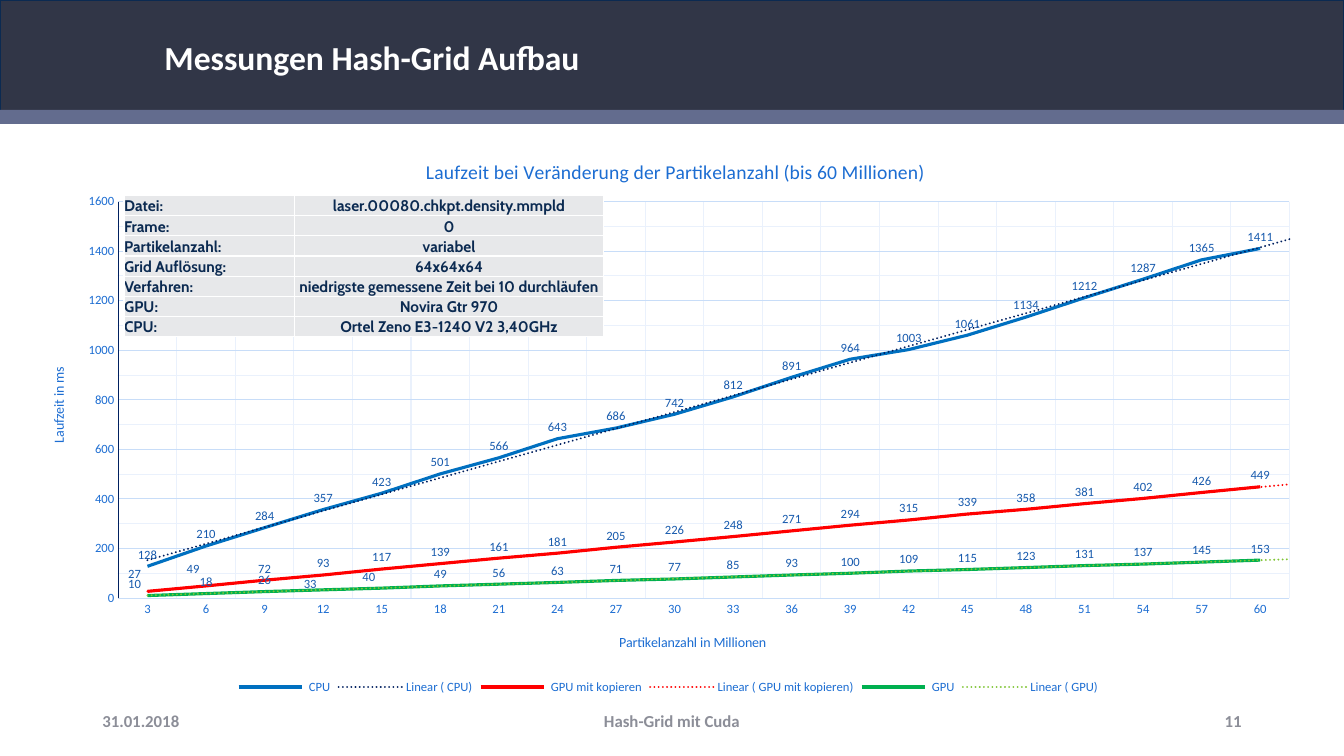
from lxml import etree
from pptx import Presentation
from pptx.chart.data import CategoryChartData
from pptx.dml.color import RGBColor
from pptx.enum import chart as ch, shapes, text
from pptx.oxml import parse_xml
from pptx.oxml.ns import nsdecls, qn
from pptx.util import Pt

# Colours
WHITE = RGBColor(0xFF, 0xFF, 0xFF)
HEADER = RGBColor(0x31, 0x36, 0x47)
STRIPE = RGBColor(0x63, 0x6C, 0x8E)
INK = RGBColor(0x0B, 0x2A, 0x51)
FOOTER = RGBColor(0x8C, 0x8E, 0x98)
CELL = RGBColor(0xE7, 0xE8, 0xEA)
CHART_TEXT = RGBColor(0x1C, 0x6D, 0xD2)
LABEL = RGBColor(0x17, 0x5A, 0xAD)
GRID = RGBColor(0xC8, 0xDD, 0xF8)
FINE_GRID = RGBColor(0xEA, 0xF1, 0xFC)
NAVY = RGBColor(0x00, 0x20, 0x60)
BLUE = RGBColor(0x00, 0x70, 0xC0)
RED = RGBColor(0xFF, 0x00, 0x00)
GREEN = RGBColor(0x00, 0xB0, 0x50)
LIME = RGBColor(0x80, 0xC5, 0x35)

# Content
HEADLINE = "Messungen Hash-Grid Aufbau"
CHART_TITLE = "Laufzeit bei Veränderung der Partikelanzahl (bis 60 Millionen)"
PARTICLES = [str(n) for n in range(3, 61, 3)]
# name, line colour, trend colour, values, moved labels {point: (dx, dy)}
RUNTIMES = [
    (" CPU", BLUE, NAVY,
     [128, 210, 284, 357, 423, 501, 566, 643, 686, 742,
      812, 891, 964, 1003, 1061, 1134, 1212, 1287, 1365, 1411], {}),
    (" GPU mit kopieren", RED, RED,
     [27, 49, 72, 93, 117, 139, 161, 181, 205, 226,
      248, 271, 294, 315, 339, 358, 381, 402, 426, 449],
     {0: (-0.01, -0.01), 1: (-0.01, -0.01)}),
    (" GPU", GREEN, LIME,
     [10, 18, 26, 33, 40, 49, 56, 63, 71, 77,
      85, 93, 100, 109, 115, 123, 131, 137, 145, 153],
     {0: (-0.01, 0), 3: (-0.01, 0.01), 4: (-0.01, 0)}),
]
SETUP = [
    ("Datei:", "laser.00080.chkpt.density.mmpld"),
    ("Frame:", "0"),
    ("Partikelanzahl:", "variabel"),
    ("Grid Auflösung:", "64x64x64"),
    ("Verfahren:", "niedrigste gemessene Zeit bei 10 durchläufen"),
    ("GPU:", "Novira Gtr 970"),
    ("CPU:", "Ortel Zeno E3-1240 V2 3,40GHz"),
]
LEFT, CENTER, RIGHT = text.PP_ALIGN.LEFT, text.PP_ALIGN.CENTER, text.PP_ALIGN.RIGHT
# text, left, width, alignment
FOOTERS = [
    ("31.01.2018", 66, 216, LEFT),
    ("Hash-Grid mit Cuda", 318, 324, CENTER),
    ("11", 678, 216, RIGHT),
]


def style(font, size, color, name="Calibri", bold=False):
    font.size, font.name, font.bold = Pt(size), name, bold
    font.color.rgb = color


def write(frame, words, size, color, name="Calibri", bold=False, align=LEFT):
    frame.text = words
    frame.paragraphs[0].alignment = align
    style(frame.paragraphs[0].runs[0].font, size, color, name, bold)


def stroke(line, color, width):
    line.color.rgb = color
    line.width = Pt(width)


def place(parent, index, **fractions):
    """Give a chart part a manual layout in fractions of the chart."""
    for old in parent.findall(qn("c:layout")):
        parent.remove(old)
    layout = etree.Element(qn("c:layout"))
    manual = etree.SubElement(layout, qn("c:manualLayout"))
    for tag, value in fractions.items():
        etree.SubElement(manual, qn("c:" + tag)).set("val", str(value))
    parent.insert(index, layout)


def add_title(title, words, size, x, y):
    write(title.text_frame, words, size, CHART_TEXT)
    place(title._element, 1, xMode="edge", yMode="edge", x=x, y=y)


def line_format(color, width, dash="solid"):
    return (f'<c:spPr><a:ln w="{Pt(width)}" cap="rnd"><a:solidFill><a:srgbClr val="{color}"/>'
            f'</a:solidFill><a:prstDash val="{dash}"/></a:ln></c:spPr>')


def add_trend(series, color):
    trend = parse_xml(
        f'<c:trendline {nsdecls("c", "a")}>{line_format(color, 1.5, "sysDot")}'
        '<c:trendlineType val="linear"/><c:forward val="0.5"/>'
        '<c:dispRSqr val="0"/><c:dispEq val="0"/></c:trendline>')
    series._element.find(qn("c:cat")).addprevious(trend)


def add_minor_gridlines(axis, color):
    grid = parse_xml(f'<c:minorGridlines {nsdecls("c", "a")}>'
                     f'{line_format(color, 0.75)}</c:minorGridlines>')
    axis._element.find(qn("c:majorGridlines")).addnext(grid)


def add_borders(cell):
    props = cell._tc.get_or_add_tcPr()
    for index, side in enumerate(("lnL", "lnR", "lnT", "lnB")):
        props.insert(index, parse_xml(
            f'<a:{side} {nsdecls("a")} w="12700"><a:solidFill>'
            f'<a:srgbClr val="{WHITE}"/></a:solidFill></a:{side}>'))


prs = Presentation()
prs.slide_width, prs.slide_height = Pt(960), Pt(540)
slide = prs.slides.add_slide(prs.slide_layouts[5])

# Header bands, with the title in front
for top, height, color in [(0, 82.8, HEADER), (78.5, 10.1, STRIPE)]:
    band = slide.shapes.add_shape(shapes.MSO_SHAPE.RECTANGLE, 0, Pt(top), Pt(960), Pt(height))
    band.shadow.inherit = False
    band.fill.solid()
    band.fill.fore_color.rgb = color
    if color == HEADER:
        stroke(band.line, INK, 0.75)
    else:
        band.line.fill.background()
headline = slide.shapes.title
headline.left, headline.top, headline.width, headline.height = Pt(117.4), Pt(26), Pt(793), Pt(30)
headline.text_frame.margin_left = 0
headline.text_frame.vertical_anchor = text.MSO_ANCHOR.MIDDLE
write(headline.text_frame, HEADLINE, 24, WHITE, bold=True)
slide.shapes._spTree.append(headline._element)

# Runtime chart
data = CategoryChartData()
data.categories = PARTICLES
for name, _, _, values, _ in RUNTIMES:
    data.add_series(name, values)
chart = slide.shapes.add_chart(ch.XL_CHART_TYPE.LINE, Pt(15.1), Pt(94.3),
                               Pt(924.5), Pt(404.6), data).chart
style(chart.font, 10, INK)
chart.has_title = True
add_title(chart.chart_title, CHART_TITLE, 14, 0.31, 0.04)
chart.has_legend = True
chart.legend.position = ch.XL_LEGEND_POSITION.BOTTOM
chart.legend.include_in_layout = False
style(chart.legend.font, 9, CHART_TEXT)
place(chart._chartSpace.chart.plotArea, 0, layoutTarget="inner", xMode="edge", yMode="edge",
      x=0.075, y=0.123, w=0.905, h=0.7)

particles, runtime = chart.category_axis, chart.value_axis
for axis, words, color, grid, x, y in [
        (particles, "Partikelanzahl in Millionen", GRID, FINE_GRID, 0.46, 0.88),
        (runtime, "Laufzeit in ms", NAVY, GRID, 0.02, 0.41)]:
    axis.has_title = True
    add_title(axis.axis_title, words, 10, x, y)
    style(axis.tick_labels.font, 9, CHART_TEXT)
    axis.major_tick_mark = axis.minor_tick_mark = ch.XL_TICK_MARK.NONE
    stroke(axis.format.line, color, 0.75)
    axis.has_major_gridlines = True
    stroke(axis.major_gridlines.format.line, grid, 0.75)
runtime.minimum_scale, runtime.maximum_scale = 0, 1600
runtime.major_unit, runtime.minor_unit = 200, 100
add_minor_gridlines(runtime, FINE_GRID)

chart.plots[0].vary_by_categories = False
for series, (_, color, trend_color, _, moved) in zip(chart.plots[0].series, RUNTIMES):
    series.smooth = False
    series.marker.style = ch.XL_MARKER_STYLE.NONE
    stroke(series.format.line, color, 2.25)
    labels = series.data_labels
    labels.show_value = True
    labels.position = ch.XL_LABEL_POSITION.ABOVE
    style(labels.font, 9, LABEL)
    for point, (dx, dy) in moved.items():
        label = series.points[point].data_label
        style(label.font, 9, LABEL)
        label.position = ch.XL_LABEL_POSITION.ABOVE
        place(label._dLbl, 1, x=dx, y=dy)
    add_trend(series, trend_color)

# Table of the measuring setup
ROW = 14.4
setup = slide.shapes.add_table(len(SETUP), 2, Pt(88.6), Pt(139.7),
                               Pt(342.7), Pt(ROW * len(SETUP))).table
setup.columns[0].width, setup.columns[1].width = Pt(121.7), Pt(221)
for r, entry in enumerate(SETUP):
    setup.rows[r].height = Pt(ROW)
    for c, words in enumerate(entry):
        cell = setup.cell(r, c)
        cell.margin_left = cell.margin_right = cell.margin_top = cell.margin_bottom = 0
        cell.vertical_anchor = text.MSO_ANCHOR.BOTTOM
        cell.fill.solid()
        cell.fill.fore_color.rgb = CELL
        add_borders(cell)
        write(cell.text_frame, words, 11, INK, "Cabin", True, (LEFT, CENTER)[c])

# Footer
for words, left, width, align in FOOTERS:
    note = slide.shapes.add_textbox(Pt(left), Pt(500.5), Pt(width), Pt(28.8)).text_frame
    note.word_wrap = True
    note.vertical_anchor = text.MSO_ANCHOR.MIDDLE
    write(note, words, 12, FOOTER, bold=True, align=align)

prs.save("out.pptx")
